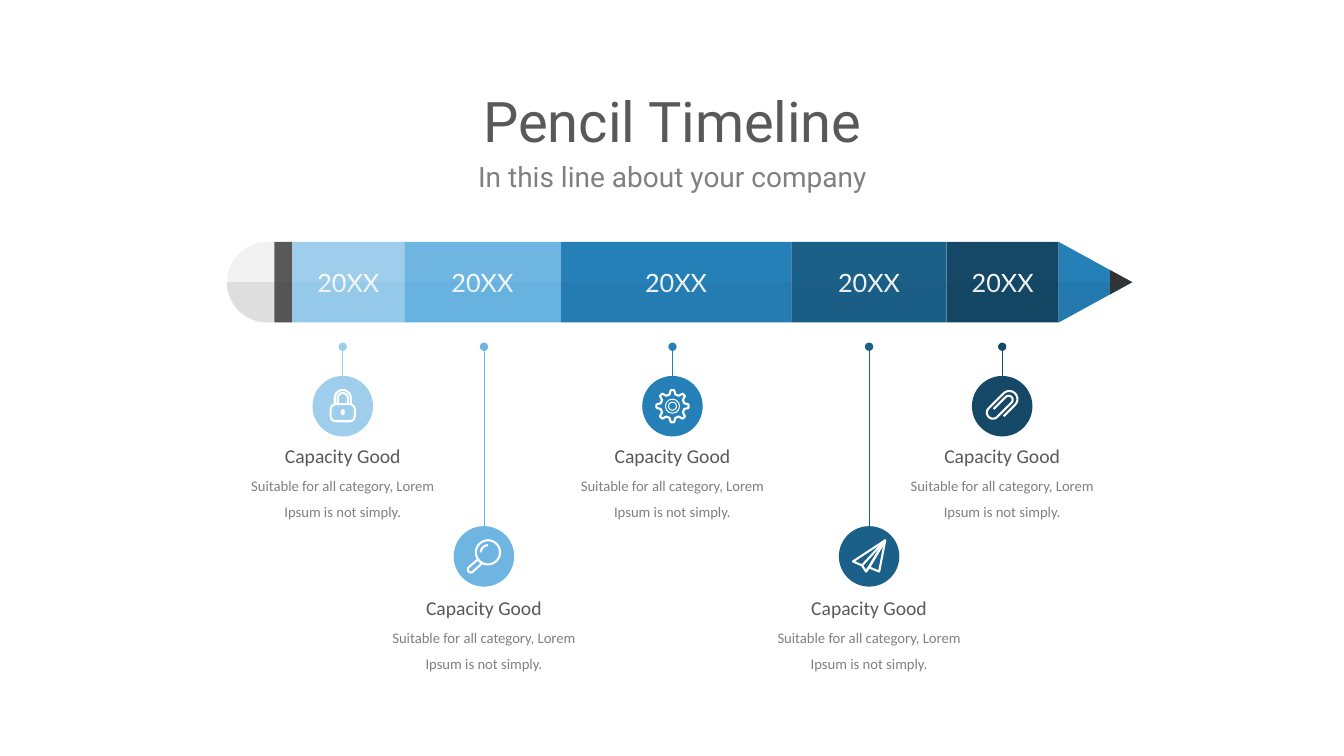
from math import cos, radians, sin

from lxml.etree import SubElement
from pptx import Presentation
from pptx.dml.color import RGBColor
from pptx.enum.shapes import MSO_CONNECTOR, MSO_SHAPE
from pptx.enum.text import MSO_ANCHOR, PP_ALIGN
from pptx.oxml.ns import qn
from pptx.util import Inches, Pt

WHITE, DARK, GREY, TIP = "FFFFFF", "595959", "808080", "333333"
BLUE = "2580B7"
# Right edge, fill and shade of each pencil segment
SEGMENTS = [
    (4.01, "9ECEEB", "4DA5DA"),
    (5.56, "6EB6E1", "2B92D0"),
    (7.85, BLUE, "1C6089"),
    (9.39, "1B6089", "144867"),
    (10.5, "144866", "0F364C"),
]


def colour(value):
    return RGBColor.from_string(value)


def paint(shape, fill=None, alpha=None, line=None, weight=1.5):
    shape.shadow.inherit = False
    if fill:
        shape.fill.solid()
        shape.fill.fore_color.rgb = colour(fill)
        if alpha:
            tint = shape.fill._xPr.find(".//" + qn("a:srgbClr"))
            SubElement(tint, qn("a:alpha")).set("val", str(alpha * 1000))
    else:
        shape.fill.background()
    if line:
        shape.line.color.rgb = colour(line)
        shape.line.width = Pt(weight)
    else:
        shape.line.fill.background()
    return shape


def preset(page, kind, left, top, width, height, **style):
    shape = page.shapes.add_shape(kind, Inches(left), Inches(top), Inches(width), Inches(height))
    return paint(shape, **style)


def ring(page, x, y, radius, **style):
    return preset(page, MSO_SHAPE.OVAL, x - radius, y - radius, 2 * radius, 2 * radius, **style)


def outline(page, points, close=True, **style):
    (start, *rest) = [(Inches(x), Inches(y)) for x, y in points]
    builder = page.shapes.build_freeform(*start)
    builder.add_line_segments(rest, close=close)
    return paint(builder.convert_to_shape(), **style)


def stroke(page, x, y, points, close=False):
    """Draw a white line through points given relative to (x, y)."""
    return outline(page, [(x + dx, y + dy) for dx, dy in points], close, line=WHITE)


def arc(x, y, radius, start, end, steps=16):
    angles = [radians(start + (end - start) * step / steps) for step in range(steps + 1)]
    return [(x + radius * cos(angle), y + radius * sin(angle)) for angle in angles]


def write(frame, text, size, font, shade, spacing=None, anchor=MSO_ANCHOR.TOP):
    frame.word_wrap = True
    frame.vertical_anchor = anchor
    para = frame.paragraphs[0]
    para.alignment = PP_ALIGN.CENTER
    if spacing:
        para.line_spacing = spacing
    span = para.add_run()
    span.text = text
    span.font.size = Pt(size)
    span.font.name = font
    span.font.color.rgb = colour(shade)


def label(page, left, top, width, height, *text, **options):
    box = page.shapes.add_textbox(Inches(left), Inches(top), Inches(width), Inches(height))
    write(box.text_frame, *text, **options)


def heading(page, left, top, width):
    title = page.shapes.title
    title.left, title.top = Inches(left), Inches(top)
    title.width, title.height = Inches(width), Inches(0.9)
    write(title.text_frame, "Pencil Timeline", 40, "Roboto", DARK, 0.9, MSO_ANCHOR.MIDDLE)
    label(page, left + 2.86, top + 0.75, width - 5.72, 0.44,
          "In this line about your company", 20, "Roboto", GREY)


def pencil(page, left, top, height):
    half = height / 2
    middle, bottom = top + half, top + height
    band, body = left + 0.47, left + 0.65

    end = arc(left + half, middle, half, 90, 270)
    outline(page, end + [(band, top), (band, bottom)], fill="F2F2F2")
    preset(page, MSO_SHAPE.RECTANGLE, band, top, body - band, height, fill=DARK)
    lower_end = arc(left + half, middle, half, 90, 180)
    outline(page, lower_end + [(body, middle), (body, bottom)], fill=TIP, alpha=10)

    start = body
    for edge, fill, shade in SEGMENTS:
        segment = preset(page, MSO_SHAPE.RECTANGLE, start, top, edge - start, height, fill=fill)
        write(segment.text_frame, "20XX", 18, "Lato", WHITE, anchor=MSO_ANCHOR.MIDDLE)
        preset(page, MSO_SHAPE.RECTANGLE, start, middle, edge - start, half, fill=shade, alpha=10)
        start = edge

    point = (start + 0.73, middle)
    outline(page, [point, (start, top), (start, bottom)], fill=BLUE)
    lead = start + 0.51
    outline(page, [point, (lead, middle + 0.12), (lead, middle - 0.12)], fill=TIP)
    outline(page, [point, (start, bottom), (start, middle)], fill="13405C", alpha=10)


def lock(page, x, y):
    body = preset(page, MSO_SHAPE.ROUNDED_RECTANGLE, x - 0.12, y - 0.02, 0.24, 0.17, line=WHITE)
    body.adjustments[0] = 0.3
    for radius in (0.08, 0.05):
        shackle = arc(0, -0.08, radius, 180, 360)
        stroke(page, x, y, [(-radius, -0.02), *shackle, (radius, -0.02)])
    preset(page, MSO_SHAPE.OVAL, x - 0.02, y + 0.03, 0.04, 0.06, fill=WHITE)


def magnifier(page, x, y):
    ring(page, x + 0.04, y - 0.04, 0.12, line=WHITE)
    handle = arc(-0.13, 0.13, 0.03, 225, 45)
    stroke(page, x, y, [(-0.06, 0.03), *handle, (-0.02, 0.07)], close=True)
    stroke(page, x, y, arc(0.04, -0.04, 0.07, 180, 270))


def gear(page, x, y):
    teeth = [
        (radius * cos(radians(tooth + turn)), radius * sin(radians(tooth + turn)))
        for tooth in range(0, 360, 45)
        for turn, radius in ((-14, 0.12), (-6, 0.16), (6, 0.16), (14, 0.12))
    ]
    stroke(page, x, y, teeth, close=True)
    for radius in (0.07, 0.04):
        ring(page, x, y, radius, line=WHITE, weight=0.75)


def paper_plane(page, x, y):
    nose, fold, keel, notch = (0.16, -0.16), (-0.07, 0.09), (-0.03, 0.15), (0, 0.11)
    stroke(page, x, y, [nose, (-0.16, 0.05), fold, keel, notch, (0.1, 0.15)], close=True)
    for corner in (fold, keel, notch):
        stroke(page, x, y, [nose, corner])


def paperclip(page, x, y):
    wire = [(-0.06, 0.08), *arc(0.1, 0, 0.08, 90, -90), *arc(-0.11, -0.02, 0.06, 270, 90),
            *arc(0.09, 0, 0.04, 90, -90), (-0.08, -0.04)]
    tilt = cos(radians(45))
    stroke(page, x, y, [((u + v) * tilt, (v - u) * tilt) for u, v in wire])


def milestone(page, x, top, disc_top, caption_top, fill, icon):
    radius = 0.3
    disc = ring(page, x, disc_top + radius, radius, fill=fill)
    stem = page.shapes.add_connector(
        MSO_CONNECTOR.STRAIGHT, Inches(x), Inches(disc_top), Inches(x), Inches(top))
    stem.begin_connect(disc, 0)
    stem.line.color.rgb = colour(fill)
    stem.line.width = Pt(0.5)
    SubElement(stem.line._get_or_add_ln(), qn("a:tailEnd")).set("type", "oval")
    SubElement(stem._element.spPr, qn("a:effectLst"))
    icon(page, x, disc_top + radius)
    label(page, x - 1.1, caption_top, 2.2, 0.34, "Capacity Good", 14, "Calibri", DARK)
    label(page, x - 1.1, caption_top + 0.24, 2.2, 0.63,
          "Suitable for all category, Lorem Ipsum is not simply.", 10.5, "Calibri", GREY,
          spacing=1.5)


def main():
    deck = Presentation()
    deck.slide_width, deck.slide_height = Inches(13.33), Inches(7.5)
    page = deck.slides.add_slide(deck.slide_layouts[5])
    heading(page, 0.92, 0.78, 11.5)
    pencil(page, 2.25, 2.4, 0.8)

    upper, lower = (3.73, 4.35), (5.22, 5.86)
    stops = [(3.4, upper, lock), (4.8, lower, magnifier), (6.67, upper, gear),
             (8.62, lower, paper_plane), (9.94, upper, paperclip)]
    for (x, (disc_top, caption_top), icon), (_, fill, _) in zip(stops, SEGMENTS):
        milestone(page, x, 3.44, disc_top, caption_top, fill, icon)
    deck.save("out.pptx")


if __name__ == "__main__":
    main()
